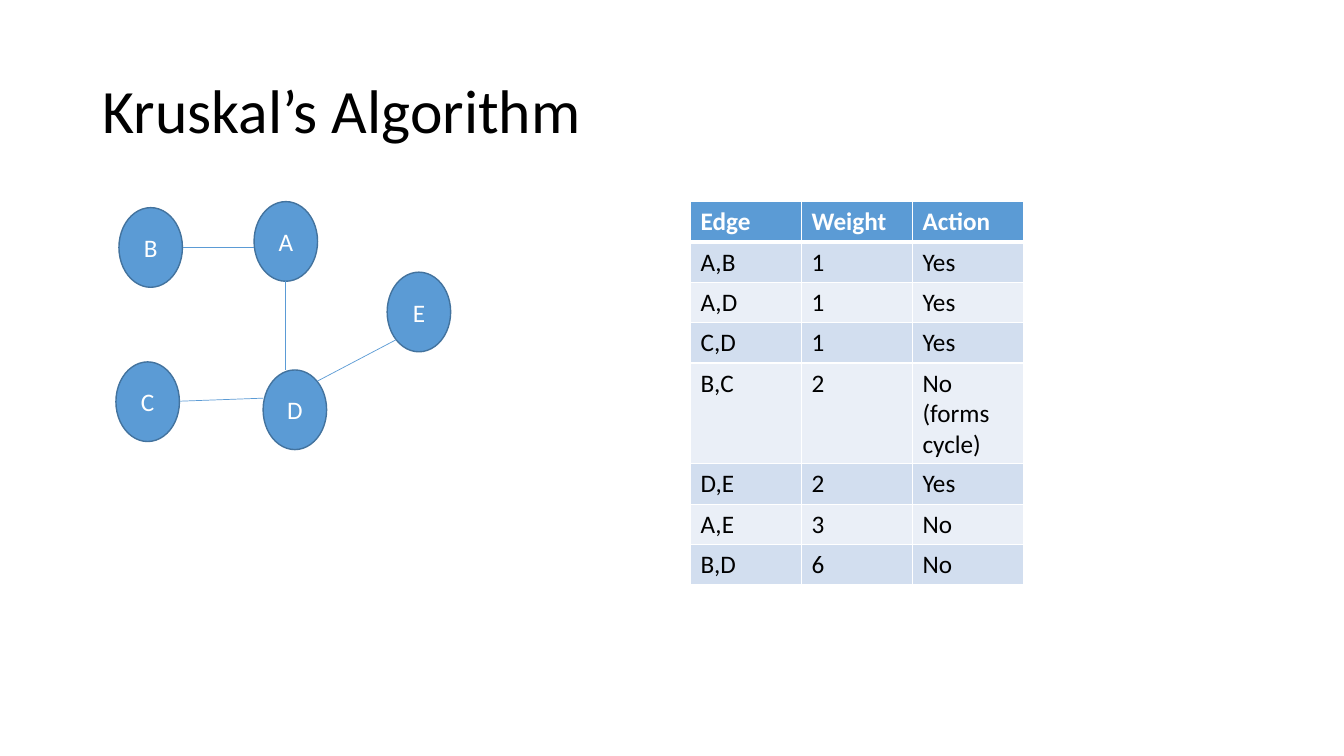
from dataclasses import dataclass

from lxml.etree import SubElement as Sub
from pptx import Presentation
from pptx.dml.color import RGBColor as Rgb
from pptx.enum.shapes import MSO_CONNECTOR as Link, MSO_SHAPE as Shape
from pptx.enum.text import MSO_ANCHOR as Anchor, PP_ALIGN as Align
from pptx.oxml.ns import qn
from pptx.util import Inches, Pt


@dataclass(frozen=True)
class Theme:
    font: str = "Calibri"
    title: int = 44
    body: int = 18
    black: str = "000000"
    white: str = "FFFFFF"
    blue: str = "5B9BD5"
    rim: str = "43739E"
    bands: tuple = ("D2DEEF", "EAEFF7")


THEME = Theme()
NODE = (0.63, 0.79)
NODES = {
    "B": (1.18, 2.06),
    "E": (3.84, 2.7),
    "D": (2.61, 3.67),
    "C": (1.15, 3.59),
    "A": (2.52, 2),
}
LINKS = [
    (1.82, 2.45, 2.52, 2.45),
    (1.79, 3.98, 2.61, 3.95),
    (2.83, 2.79, 2.83, 3.67),
    (3.15, 3.78, 3.93, 3.37),
]
ROWS = [
    ("Edge", "Weight", "Action"),
    ("A,B", "1", "Yes"),
    ("A,D", "1", "Yes"),
    ("C,D", "1", "Yes"),
    ("B,C", "2", "No (forms cycle)"),
    ("D,E", "2", "Yes"),
    ("A,E", "3", "No"),
    ("B,D", "6", "No"),
]


def add_run(frame, text, size, color, bold=False):
    para = frame.paragraphs[0]
    run = para.add_run()
    run.text = text
    run.font.name = THEME.font
    run.font.size = Pt(size)
    run.font.bold = bold
    run.font.color.rgb = Rgb.from_string(color)
    return para


def add_title(slide, text):
    box = slide.shapes.add_textbox(Inches(0.92), Inches(0.4), Inches(11.5), Inches(1.45))
    frame = box.text_frame
    frame.word_wrap = True
    frame.vertical_anchor = Anchor.MIDDLE
    add_run(frame, text, THEME.title, THEME.black).line_spacing = 0.9


def add_node(slide, name, left, top):
    node = slide.shapes.add_shape(Shape.OVAL, *map(Inches, (left, top, *NODE)))
    node.shadow.inherit = False
    node.fill.solid()
    node.fill.fore_color.rgb = Rgb.from_string(THEME.blue)
    node.line.color.rgb = Rgb.from_string(THEME.rim)
    node.line.width = Pt(1)
    node.text_frame.vertical_anchor = Anchor.MIDDLE
    add_run(node.text_frame, name, THEME.body, THEME.white).alignment = Align.CENTER


def add_link(slide, ends):
    link = slide.shapes.add_connector(Link.STRAIGHT, *map(Inches, ends))
    link.line.color.rgb = Rgb.from_string(THEME.blue)
    link.line.width = Pt(0.5)
    Sub(link._element.spPr, qn("a:effectLst"))


def set_edges(cell, base):
    props = cell._tc.get_or_add_tcPr()
    for side, width in (("L", 1), ("R", 1), ("T", 1), ("B", base)):
        line = Sub(props, qn(f"a:ln{side}"), w=str(Pt(width)))
        Sub(Sub(line, qn("a:solidFill")), qn("a:srgbClr"), val=THEME.white)


def add_grid(slide, rows):
    frame = slide.shapes.add_table(
        len(rows), len(rows[0]), Inches(6.85), Inches(2), Inches(3.3), Inches(3.2)
    )
    table = frame.table
    for r, row in enumerate(rows):
        head = r == 0
        fill = THEME.blue if head else THEME.bands[(r - 1) % 2]
        color = THEME.white if head else THEME.black
        for c, text in enumerate(row):
            cell = table.cell(r, c)
            set_edges(cell, 3 if head else 1)
            cell.fill.solid()
            cell.fill.fore_color.rgb = Rgb.from_string(fill)
            add_run(cell.text_frame, text, THEME.body, color, head)


def main():
    deck = Presentation()
    deck.slide_width = Inches(13.33)
    deck.slide_height = Inches(7.5)
    slide = deck.slides.add_slide(deck.slide_layouts[6])
    add_title(slide, "Kruskal’s Algorithm")
    add_grid(slide, ROWS)
    for name, spot in NODES.items():
        add_node(slide, name, *spot)
    for ends in LINKS:
        add_link(slide, ends)
    deck.save("out.pptx")


if __name__ == "__main__":
    main()
